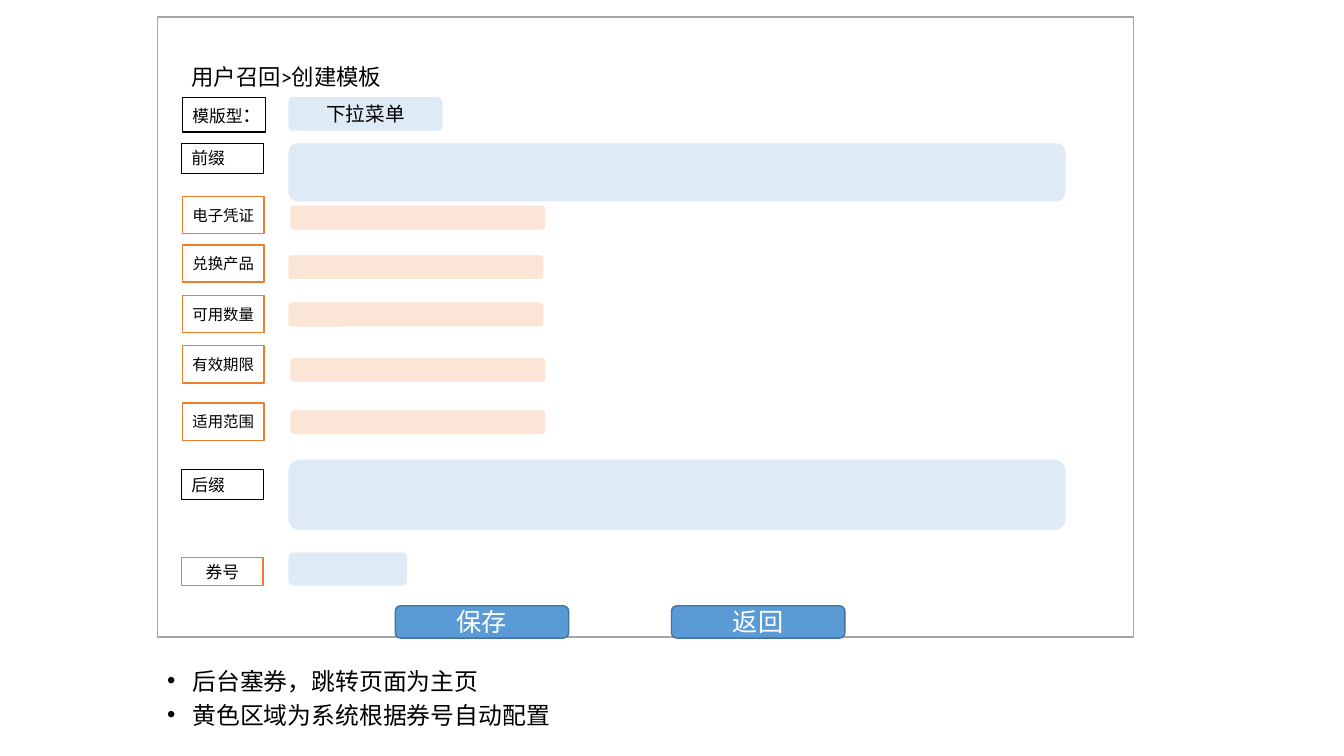
"""Build the wireframe slide for creating a user recall template."""
from lxml import etree
from pptx import Presentation
from pptx.dml.color import RGBColor
from pptx.enum.shapes import MSO_SHAPE
from pptx.enum.text import MSO_ANCHOR, PP_ALIGN
from pptx.oxml.ns import qn
from pptx.util import Inches, Pt

CJK = "Noto Sans CJK SC"
BLACK, WHITE, ORANGE = "000000", "FFFFFF", "ED7D31"
PALE_BLUE, PALE_ORANGE = "DEEBF7", "FBE5D6"
RECT, ROUND = MSO_SHAPE.RECTANGLE, MSO_SHAPE.ROUNDED_RECTANGLE

prs = Presentation()
prs.slide_width, prs.slide_height = Inches(13.33), Inches(7.5)
slide = prs.slides.add_slide(prs.slide_layouts[6])


def add_run(paragraph, text, size, color=BLACK, font="Calibri"):
    run = paragraph.add_run()
    run.text = text
    run.font.size = Pt(size)
    run.font.name = font
    run.font.color.rgb = RGBColor.from_string(color)
    etree.SubElement(run.font._element, qn("a:ea"), typeface=CJK)


def add_box(kind, at, fill, line, width, align=PP_ALIGN.CENTER):
    shape = slide.shapes.add_shape(kind, *map(Inches, at))
    shape.shadow.inherit = False
    if fill:
        shape.fill.solid()
        shape.fill.fore_color.rgb = RGBColor.from_string(fill)
    else:
        shape.fill.background()
    shape.line.color.rgb = RGBColor.from_string(line)
    shape.line.width = Pt(width)
    frame = shape.text_frame
    frame.word_wrap = True
    frame.vertical_anchor = MSO_ANCHOR.MIDDLE
    frame.paragraphs[0].alignment = align
    return frame


add_box(RECT, (1.56, 0.17, 9.68, 6.15), WHITE, "A5A5A5", 1)

title = slide.shapes.add_textbox(Inches(1.8), Inches(0.46), Inches(5.38), Inches(0.64)).text_frame
title.word_wrap = True
title.vertical_anchor = MSO_ANCHOR.MIDDLE
title.paragraphs[0].line_spacing = 0.9
add_run(title.paragraphs[0], "用户召回>创建模板", 16)

notes = slide.shapes.add_textbox(Inches(1.56), Inches(6.64), Inches(11.14), Inches(0.66)).text_frame
notes.word_wrap = True
for i, text in enumerate(["后台塞券，跳转页面为主页", "黄色区域为系统根据券号自动配置"]):
    paragraph = notes.add_paragraph() if i else notes.paragraphs[0]
    paragraph.line_spacing = 0.7
    paragraph.space_before = Pt(10)
    props = paragraph._p.get_or_add_pPr()
    props.set("marL", str(Inches(0.25)))
    props.set("indent", str(-Inches(0.25)))
    etree.SubElement(props, qn("a:buFont"), typeface="Arial")
    etree.SubElement(props, qn("a:buChar"), char="•")
    add_run(paragraph, text, 17)

for top, width, height in [(1.41, 7.73, 0.6), (4.55, 7.73, 0.72), (5.47, 1.2, 0.35)]:
    add_box(ROUND, (2.85, top, width, height), PALE_BLUE, WHITE, 1.5)

dropdown = add_box(ROUND, (2.85, 0.95, 1.55, 0.36), PALE_BLUE, WHITE, 1.5)
add_run(dropdown.paragraphs[0], "下拉菜单", 14)

plain_labels = [
    ((1.81, 0.97, 0.82, 0.34), [("模版型", 12), ("：", 14)]),
    ((1.8, 1.42, 0.81, 0.3), [("前缀", 12)]),
    ((1.8, 4.66, 0.81, 0.3), [("后缀", 12)]),
]
for at, parts in plain_labels:
    label = add_box(RECT, at, None, BLACK, 0.75, PP_ALIGN.LEFT)
    label.vertical_anchor = MSO_ANCHOR.TOP
    label.margin_right = 0
    for text, size in parts:
        add_run(label.paragraphs[0], text, size)

auto_labels = [
    ("电子凭证", 1.81, 1.95, 0.37, 11),
    ("兑换产品", 1.81, 2.43, 0.37, 11),
    ("可用数量", 1.81, 2.93, 0.37, 11),
    ("有效期限", 1.81, 3.43, 0.37, 11),
    ("适用范围", 1.81, 4, 0.37, 11),
    ("券号", 1.8, 5.53, 0.28, 12),
]
for text, left, top, height, size in auto_labels:
    label = add_box(RECT, (left, top, 0.81, height), WHITE, ORANGE, 1)
    label.margin_left = label.margin_right = Inches(0.06)
    label.margin_top = label.margin_bottom = Inches(0.06)
    add_run(label.paragraphs[0], text, size, font=CJK)

for left, top in [(2.87, 2.03), (2.85, 2.52), (2.85, 2.99), (2.87, 3.54), (2.87, 4.06)]:
    add_box(ROUND, (left, top, 2.55, 0.26), PALE_ORANGE, WHITE, 1.5)

for text, left in [("保存", 3.92), ("返回", 6.66)]:
    button = add_box(ROUND, (left, 6.01, 1.72, 0.32), "5B9BD5", "43739E", 1)
    add_run(button.paragraphs[0], text, 18, WHITE)

prs.save("out.pptx")
